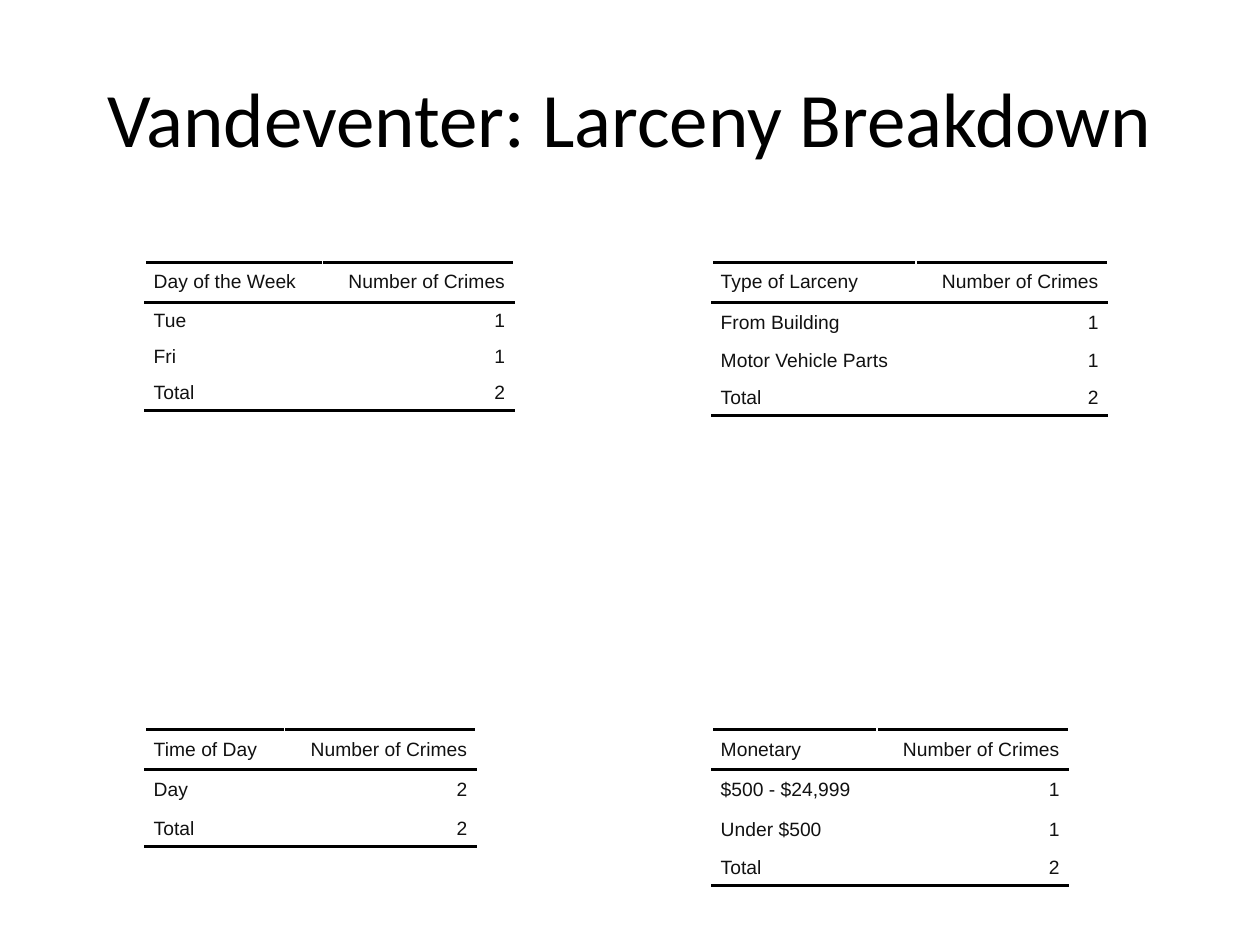
from dataclasses import dataclass

from pptx import Presentation
from pptx.dml.color import RGBColor
from pptx.enum.text import MSO_ANCHOR, PP_ALIGN
from pptx.oxml import parse_xml
from pptx.oxml.ns import nsdecls
from pptx.util import Inches, Pt


@dataclass(frozen=True)
class Theme:
    title_font: str = "Calibri"
    table_font: str = "Arial"
    title_size: Pt = Pt(44)
    table_size: Pt = Pt(11)
    title_color: RGBColor = RGBColor(0x00, 0x00, 0x00)
    table_color: RGBColor = RGBColor(0x11, 0x11, 0x11)
    rule_color: str = "000000"
    rule_width: Pt = Pt(2)


THEME = Theme()
LEFT, RIGHT = 1.15, 5.65
TOP, BOTTOM = 2.08, 5.79
FRAME_WIDTH, FRAME_HEIGHT = 4, 3
COUNT_WIDTH = 1.52
COUNT_LABEL = "Number of Crimes"

# Each breakdown: left, top, label column width, row heights, rows
BREAKDOWNS = [
    (LEFT, TOP, 1.41, [0.32, 0.29, 0.28, 0.29],
     [("Day of the Week", COUNT_LABEL), ("Tue", 1), ("Fri", 1), ("Total", 2)]),
    (LEFT, BOTTOM, 1.11, [0.32, 0.32, 0.29],
     [("Time of Day", COUNT_LABEL), ("Day", 2), ("Total", 2)]),
    (RIGHT, TOP, 1.62, [0.32, 0.32, 0.29, 0.29],
     [("Type of Larceny", COUNT_LABEL), ("From Building", 1),
      ("Motor Vehicle Parts", 1), ("Total", 2)]),
    (RIGHT, BOTTOM, 1.31, [0.32, 0.32, 0.31, 0.29],
     [("Monetary", COUNT_LABEL), ("$500 - $24,999", 1), ("Under $500", 1), ("Total", 2)]),
]


def style_font(font, name, size, color):
    font.name, font.size = name, size
    font.color.rgb = color


def add_title(page, text, left, top, width, height):
    title = page.shapes.title
    title.left, title.top = Inches(left), Inches(top)
    title.width, title.height = Inches(width), Inches(height)
    title.text_frame.text = text
    title.text_frame.vertical_anchor = MSO_ANCHOR.MIDDLE
    para = title.text_frame.paragraphs[0]
    para.alignment = PP_ALIGN.CENTER
    style_font(para.font, THEME.title_font, THEME.title_size, THEME.title_color)


def add_rules(cell, sides):
    """Draw rules on the given sides; borders must come before the fill."""
    properties = cell._tc.get_or_add_tcPr()
    for position, side in enumerate(sides):
        properties.insert(position, parse_xml(
            f'<a:ln{side} {nsdecls("a")} w="{int(THEME.rule_width)}"><a:solidFill>'
            f'<a:srgbClr val="{THEME.rule_color}"/></a:solidFill></a:ln{side}>'))


def fill_cell(cell, value, alignment):
    cell.text = str(value)
    cell.fill.background()
    cell.vertical_anchor = MSO_ANCHOR.MIDDLE
    cell.margin_left = cell.margin_right = cell.margin_top = cell.margin_bottom = 0
    para = cell.text_frame.paragraphs[0]
    para.alignment = alignment
    para.space_before = para.space_after = Pt(2)
    indents = para._p.get_or_add_pPr()
    for side in ("marL", "marR"):
        indents.set(side, str(Inches(0.07)))
    style_font(para.font, THEME.table_font, THEME.table_size, THEME.table_color)


def add_breakdown(page, left, top, label_width, heights, rows):
    frame = page.shapes.add_table(len(rows), 2, Inches(left), Inches(top),
                                  Inches(FRAME_WIDTH), Inches(FRAME_HEIGHT))
    table = frame.table
    table.first_row = table.horz_banding = False
    for column, width in zip(table.columns, (label_width, COUNT_WIDTH)):
        column.width = Inches(width)
    for index, (height, values) in enumerate(zip(heights, rows)):
        table.rows[index].height = Inches(height)
        # Rules frame the header and close the total row
        sides = "TB" if index == 0 else "B" if index == len(rows) - 1 else ""
        for cell, value, alignment in zip(table.rows[index].cells, values,
                                          (PP_ALIGN.LEFT, PP_ALIGN.RIGHT)):
            fill_cell(cell, value, alignment)
            add_rules(cell, sides)
    frame.width, frame.height = Inches(FRAME_WIDTH), Inches(FRAME_HEIGHT)


def main():
    deck = Presentation()
    deck.slide_width, deck.slide_height = Inches(10), Inches(7.5)
    page = deck.slides.add_slide(deck.slide_layouts[5])
    add_title(page, "Vandeventer: Larceny Breakdown", 0.5, 0.3, 9, 1.25)
    for breakdown in BREAKDOWNS:
        add_breakdown(page, *breakdown)
    deck.save("out.pptx")


if __name__ == "__main__":
    main()
